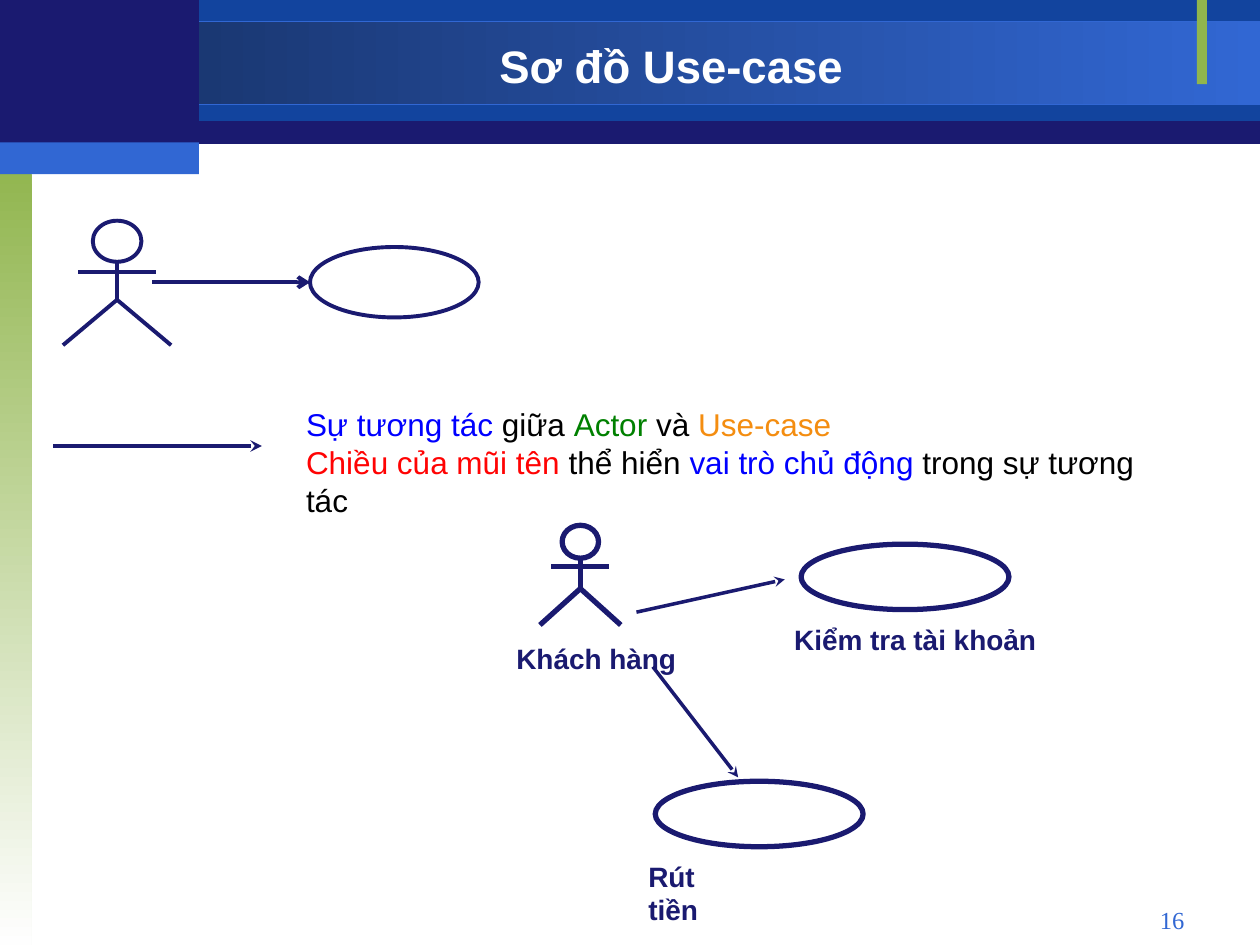
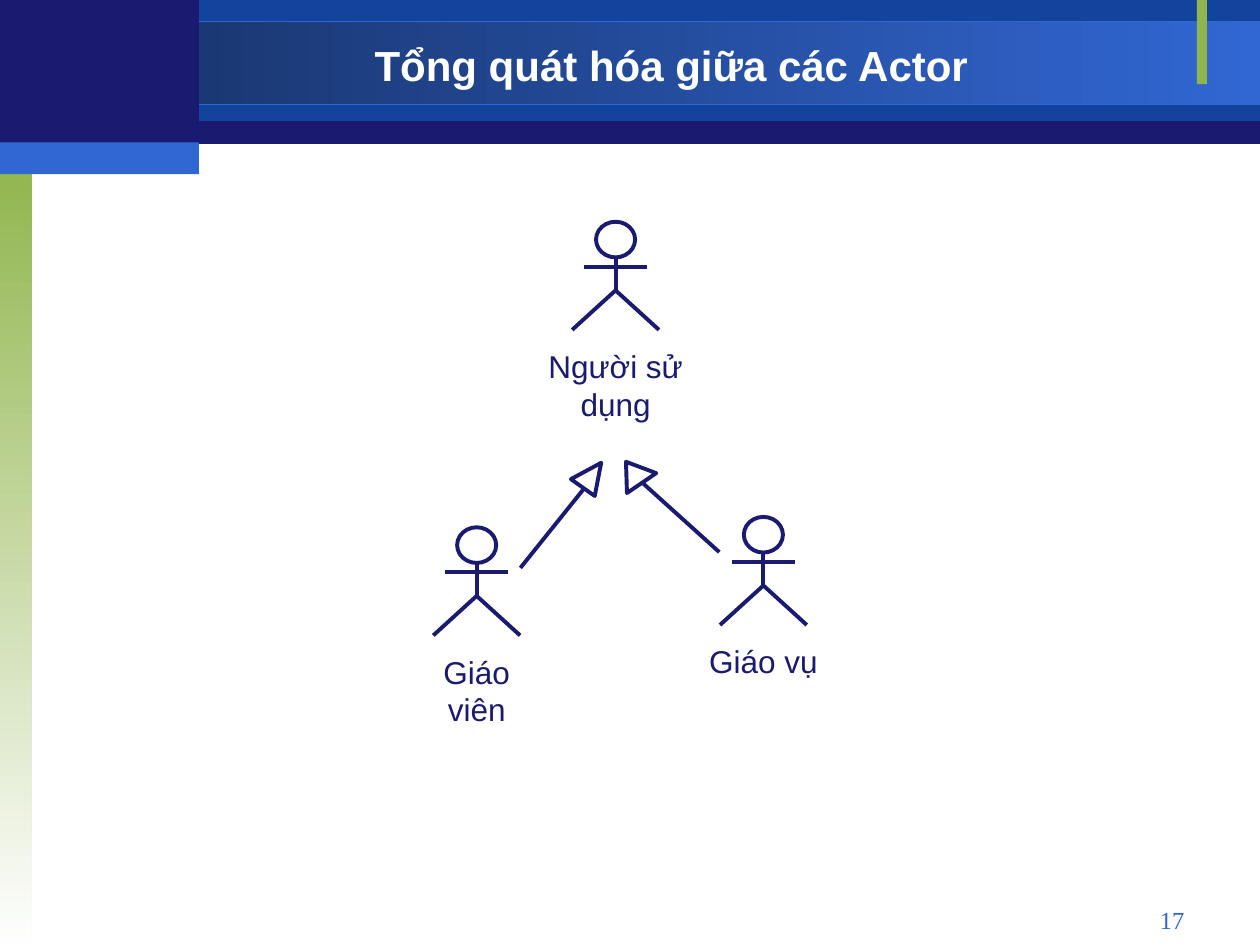
from pptx import Presentation
from pptx import util as u
from pptx.dml.color import RGBColor
from pptx.enum import shapes, text
from pptx.oxml.ns import qn
from lxml import etree

NAVY, ROYAL, SKY, GREEN = "1A1A70", "12449E", "3167D3", "90B54D"
WHITE, PAPER, BLACK, BLUE = "FFFFFF", "FEFEFE", "000000", "0000FF"

BANDS = [
    ((0, 0.03, 25.4, 2.87), NAVY, None),
    ((4.01, 0, 21.39, 2.44), ROYAL, None),
    ((0, 0.43, 25.4, 1.68), (SKY, "162F61", 180), SKY),
    ((0, 3.18, 0.64, 15.87), (GREEN, PAPER, 270), None),
    ((24.13, 0, 0.2, 1.7), GREEN, None),
    ((0, 0, 4.01, 2.97), NAVY, None),
    ((0, 2.87, 4.01, 0.64), SKY, None),
]

TITLE = {"name": "Arial", "size": u.Pt(26), "bold": True}
NUMBER = {"name": "Times New Roman", "size": u.Pt(14)}
BODY = {"name": "Arial", "size": u.Pt(18)}
LABEL = {"name": "Arial", "size": u.Pt(16), "bold": True}


def color(value):
    return RGBColor.from_string(value)


def lengths(values):
    return [u.Cm(value) for value in values]


def apply(target, formats):
    for name, value in formats.items():
        setattr(target, name, value)


class Painter:
    def __init__(self):
        self.deck = Presentation()
        apply(self.deck, {"slide_width": u.Cm(25.4), "slide_height": u.Cm(19.05)})
        self.page = None

    def paint(self, fill, value):
        if value is None:
            fill.background()
        elif isinstance(value, str):
            fill.solid()
            fill.fore_color.rgb = color(value)
        else:
            first, last, angle = value
            fill.gradient()
            fill.gradient_angle = angle
            for stop, shade in zip(fill.gradient_stops, (first, last)):
                stop.color.rgb = color(shade)

    def finish(self, shape, fill=None, line=NAVY, weight=2.25):
        shape.shadow.inherit = False
        self.paint(shape.fill, fill)
        self.paint(shape.line.fill, line)
        if line:
            shape.line.width = u.Pt(weight)

    def shape(self, kind, at, **look):
        self.finish(self.page.shapes.add_shape(kind, *lengths(at)), **look)

    def ellipse(self, at, weight=2.25):
        self.shape(shapes.MSO_SHAPE.OVAL, at, weight=weight)

    def outline(self, points, close=False, weight=2.25):
        start, *rest = [lengths(point) for point in points]
        builder = self.page.shapes.build_freeform(*start)
        builder.add_line_segments(rest, close=close)
        self.finish(builder.convert_to_shape(), weight=weight)

    def line(self, start, end, weight=2.25, head=None):
        line = self.page.shapes.add_connector(
            shapes.MSO_CONNECTOR.STRAIGHT, *lengths(start + end))
        self.paint(line.line.fill, NAVY)
        line.line.width = u.Pt(weight)
        properties = line._element.spPr
        if head:
            tail = etree.SubElement(properties.find(qn("a:ln")), qn("a:tailEnd"))
            tail.set("type", head)
        etree.SubElement(properties, qn("a:effectLst"))

    def text(self, at, lines, style, align="LEFT", anchor="TOP", wrap=False):
        frame = self.page.shapes.add_textbox(*lengths(at)).text_frame
        fit = text.MSO_AUTO_SIZE
        apply(frame, {
            "word_wrap": wrap,
            "vertical_anchor": text.MSO_ANCHOR[anchor],
            "auto_size": fit.NONE if wrap else fit.SHAPE_TO_FIT_TEXT,
        })
        for index, spans in enumerate(lines):
            para = frame.add_paragraph() if index else frame.paragraphs[0]
            para.alignment = text.PP_ALIGN[align]
            for words, shade in spans:
                span = para.add_run()
                span.text = words
                apply(span.font, style)
                span.font.color.rgb = color(shade)

    def start_page(self, title, number, size=26):
        self.page = self.deck.slides.add_slide(self.deck.slide_layouts[6])
        self.paint(self.page.background.fill, (WHITE, PAPER, 270))
        for at, fill, line in BANDS:
            self.shape(shapes.MSO_SHAPE.RECTANGLE, at, fill=fill, line=line, weight=0.75)
        self.text((4.01, 0.58, 19.05, 1.47), [[(title, WHITE)]],
                  TITLE | {"size": u.Pt(size)}, "CENTER", "MIDDLE", True)
        self.text((18.21, 18.11, 5.92, 0.69), [[(str(number), SKY)]],
                  NUMBER, "RIGHT", wrap=True)

    def actor(self, center, top, width, height, weight=2.25):
        head_width, head_height = 0.45 * width, 0.33 * height
        arm_y, hip_y, foot_y = (top + part * height for part in (0.415, 0.635, 1))
        arm, leg = 0.36 * width, 0.5 * width
        self.ellipse((center - head_width / 2, top, head_width, head_height), weight)
        self.line((center, top + head_height), (center, hip_y), weight)
        self.line((center - arm, arm_y), (center + arm, arm_y), weight)
        self.outline([(center - leg, foot_y), (center, hip_y), (center + leg, foot_y)],
                     weight=weight)

    def named_actor(self, name, center, top, label_width):
        self.actor(center, top, 1.75, 2.18)
        self.text((center - label_width / 2, top + 2.4, label_width, 1.02),
                  [[(name, NAVY)]], BODY, "CENTER")

    def use_case(self, name, left, top, label_width):
        self.ellipse((left, top, 4.19, 1.32), 3)
        self.text((left - 0.39, top + 1.45, label_width, 0.94), [[(name, NAVY)]], LABEL)

    def generalization(self, start, end, triangle):
        self.line(start, end)
        self.outline(triangle, close=True)


def use_case_page(painter):
    painter.start_page("Sơ đồ Use-case", 16)
    painter.actor(2.36, 4.45, 2.18, 2.51)
    painter.ellipse((6.25, 4.98, 3.4, 1.42))
    painter.line((3.07, 5.69), (6.25, 5.69), head="arrow")
    painter.line((1.07, 8.99), (5.28, 8.99), head="stealth")
    painter.text((5.92, 8.05, 18.21, 1.78), [
        [("Sự tương tác", BLUE), (" giữa ", BLACK), ("Actor", "008000"),
         (" và ", BLACK), ("Use-case", "F48D10")],
        [("Chiều của mũi tên", "FF0303"), (" thể hiển ", BLACK),
         ("vai trò chủ động", BLUE), (" trong sự tương tác", BLACK)],
    ], BODY)
    painter.actor(11.7, 10.59, 1.63, 2.01, 3)
    painter.text((10.16, 12.8, 3.73, 0.94), [[("Khách hàng", NAVY)]], LABEL)
    painter.use_case("Kiểm tra tài khoản", 16.15, 10.97, 5.38)
    painter.use_case("Rút tiền", 13.21, 15.75, 2.59)
    for start, end in [((12.83, 12.34), (15.82, 11.68)), ((13.16, 13.44), (14.88, 15.67))]:
        painter.line(start, end, 2, "stealth")


def actor_page(painter):
    painter.start_page("Tổng quát hóa giữa các Actor", 17, 24)
    painter.named_actor("Người sử dụng", 12.41, 4.47, 4.8)
    painter.named_actor("Giáo viên", 9.61, 10.63, 3.18)
    painter.named_actor("Giáo vụ", 15.39, 10.42, 2.7)
    painter.generalization((10.49, 11.45), (11.78, 9.84),
                           [(12.12, 9.33), (11.51, 9.66), (11.99, 10)])
    painter.generalization((14.5, 11.13), (12.97, 9.75),
                           [(12.62, 9.31), (13.23, 9.54), (12.64, 9.94)])


def main():
    painter = Painter()
    use_case_page(painter)
    actor_page(painter)
    painter.deck.save("out.pptx")


if __name__ == "__main__":
    main()
